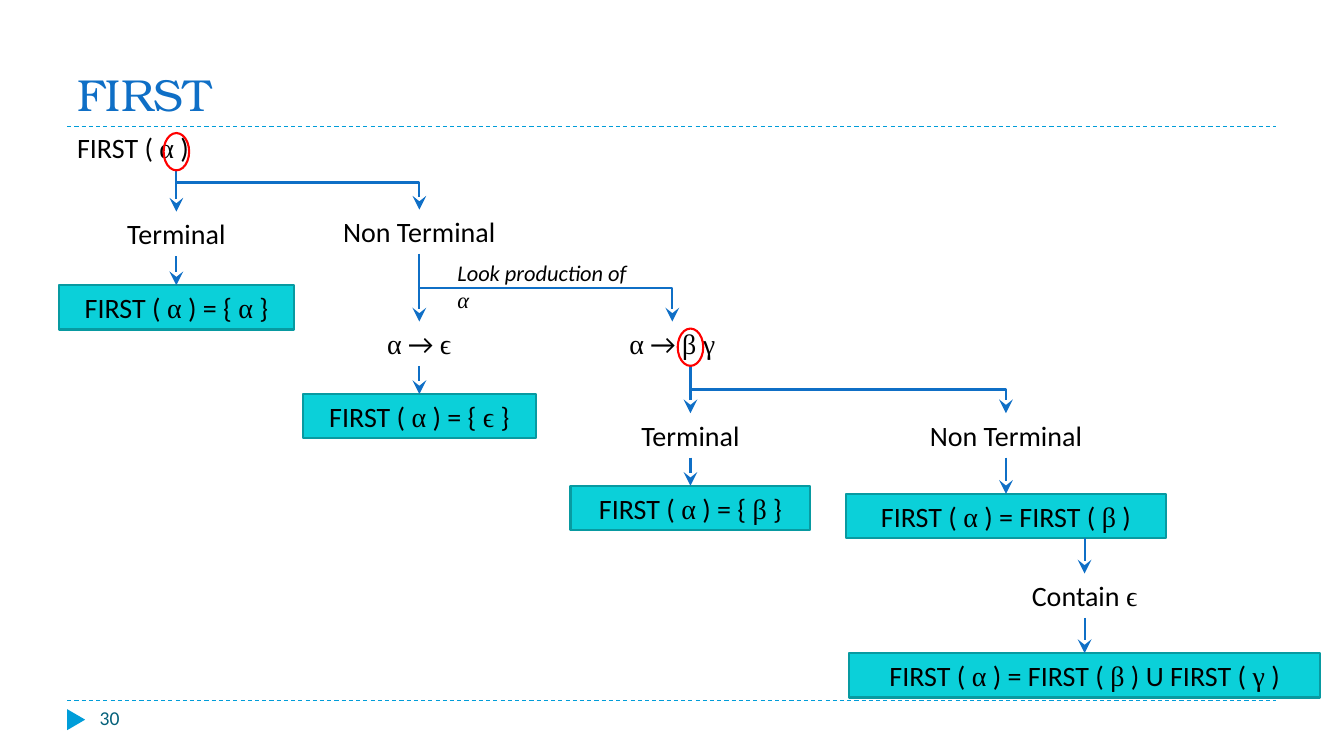
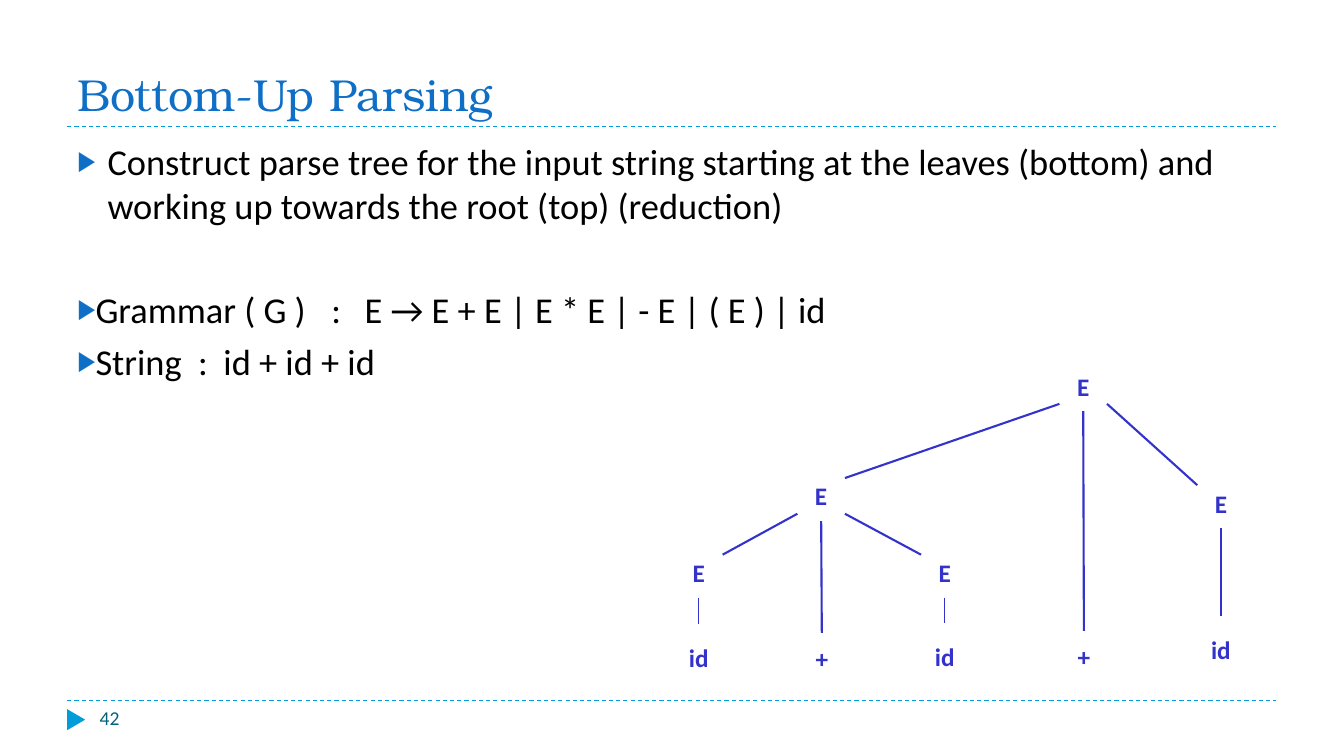
from dataclasses import dataclass
from itertools import groupby

from lxml import etree
from pptx import Presentation
from pptx import util as u
from pptx.dml.color import RGBColor
from pptx.enum import dml, shapes, text
from pptx.oxml.ns import qn

# The slide is a grid of 40 columns by 22.5 rows; all lengths are in cells.
COLUMNS, ROWS = 40, 22.5
CELL = u.Inches(13.333) / COLUMNS
LEFT, RIGHT = 2, 37.98
TITLE_RULE, FOOTER_RULE = 3.76, 20.85
LABEL_HEIGHT = 1.32
DIAGONAL = 0.354  # share of an ellipse's size from its centre to a 45° point

BLUE, SKY, TEAL = "0F6FC6", "009DD9", "04617B"
CYAN, CYAN_EDGE = "0BD0D9", "089AA1"
RED, INDIGO, BLACK = "FF0000", "3333CC", "000000"
BODY_FONT, TITLE_FONT, GREEK_FONT = "Calibri", "TeX Gyre Bonum", "Times New Roman"


@dataclass
class Step:
    """A label or filled box of the flow, placed by its centre line and top."""
    x: float
    top: float
    width: float
    words: str
    boxed: bool = False

    @property
    def bottom(self) -> float:
        return self.top + LABEL_HEIGHT


@dataclass
class Flow:
    parent: str
    child: str
    start_x: float
    bend: float = 0.5


@dataclass
class Node:
    """An ellipse of the parse tree, placed by its centre."""
    x: float
    y: float
    words: str
    width: float = 2
    height: float = 1.5


@dataclass
class Bullet:
    words: str
    indent: float = 0
    before: float = 0
    tabs: tuple[float, ...] = ()


FIRST_X, NON_TERMINAL_X, BETA_X, BETA_RULE_X, LAST_X = 5.25, 12.48, 20.55, 29.94, 32.28
STEPS = {
    "start": Step(3.96, 3.75, 4.32, "FIRST ( α )"),
    "terminal": Step(FIRST_X, 6.3, 4.2, "Terminal"),
    "non terminal": Step(NON_TERMINAL_X, 6.24, 5.7, "Non Terminal"),
    "alpha set": Step(FIRST_X, 8.49, 7, "FIRST ( α ) = { α }", True),
    "empty": Step(NON_TERMINAL_X, 9.57, 2.7, "α → ϵ"),
    "empty set": Step(NON_TERMINAL_X, 11.73, 6.93, "FIRST ( α ) = { ϵ }", True),
    "production": Step(20.01, 9.57, 3.36, "α → β γ"),
    "beta terminal": Step(BETA_X, 12.3, 4.2, "Terminal"),
    "beta set": Step(BETA_X, 14.46, 7.14, "FIRST ( α ) = { β }", True),
    "beta non terminal": Step(BETA_RULE_X, 12.3, 5.7, "Non Terminal"),
    "beta first": Step(BETA_RULE_X, 14.7, 9.51, "FIRST ( α ) = FIRST ( β )", True),
    "contain": Step(LAST_X, 17.07, 4.2, "Contain ϵ"),
    "union": Step(LAST_X, 19.44, 14.01,
                  "FIRST ( α ) = FIRST ( β ) U FIRST ( γ )", True),
}
FLOWS = [
    Flow("start", "terminal", FIRST_X),
    Flow("start", "non terminal", FIRST_X, 0.31),
    Flow("terminal", "alpha set", FIRST_X),
    Flow("non terminal", "empty", NON_TERMINAL_X),
    Flow("non terminal", "production", NON_TERMINAL_X),
    Flow("empty", "empty set", NON_TERMINAL_X),
    Flow("production", "beta terminal", BETA_X),
    Flow("production", "beta non terminal", BETA_X),
    Flow("beta terminal", "beta set", BETA_X),
    Flow("beta non terminal", "beta first", BETA_RULE_X),
    Flow("beta first", "contain", LAST_X),
    Flow("contain", "union", LAST_X),
]
RINGS = {"start": FIRST_X, "production": BETA_X}

NODES = {
    "root": Node(32.24, 11.49, "E"),
    "sum": Node(24.44, 14.76, "E"),
    "right": Node(36.34, 14.97, "E"),
    "root plus": Node(32.26, 19.53, "+"),
    "right id": Node(36.34, 19.34, "id", 2.82, 2.01),
    "first": Node(20.8, 17.04, "E"),
    "second": Node(28.12, 17.04, "E"),
    "first id": Node(20.8, 19.57, "id", 2.82, 2.01),
    "second id": Node(28.12, 19.55, "id", 2.82, 2.01),
    "sum plus": Node(24.46, 19.59, "+"),
}
BRANCHES = [
    ("root", "sum", 1.5), ("root", "root plus", 1.5), ("root", "right", 1.5),
    ("sum", "first", 1.5), ("sum", "sum plus", 1.5), ("sum", "second", 1.5),
    ("right", "right id", 1.5), ("first", "first id", 0.75),
    ("second", "second id", 0.75),
]
BULLETS = [
    Bullet("Construct parse tree for the input string starting at the leaves "
           "(bottom) and working up towards the root (top) (reduction)", 0.3),
    Bullet("Grammar ( G )\t:\tE → E + E | E * E | - E | ( E ) | id",
           before=43.5, tabs=(2.52, 2.85)),
    Bullet("String\t:\tid + id + id", before=6, tabs=(1.2, 1.45)),
]


def cells(*values: float) -> list[int]:
    return [u.Emu(round(value * CELL)) for value in values]


def color(code: str) -> RGBColor:
    return RGBColor.from_string(code)


def place(shape, left: float, top: float, width: float, height: float) -> None:
    shape.left, shape.top, shape.width, shape.height = cells(left, top, width, height)


def style(font, size: float, code: str, name: str = BODY_FONT) -> None:
    font.size, font.name = u.Pt(size), name
    font.color.rgb = color(code)


def write(shape, words: str, size: float, code: str, align=text.PP_ALIGN.LEFT,
          wrap: bool = False, bold: bool = False, italic: bool = False) -> None:
    """Set one paragraph, with Greek letters in their own font."""
    shape.text_frame.word_wrap = wrap
    para = shape.text_frame.paragraphs[0]
    para.alignment = align
    for greek, letters in groupby(words, lambda letter: "Ͱ" <= letter <= "Ͽ"):
        span = para.add_run()
        span.text = "".join(letters)
        style(span.font, size, code, GREEK_FONT if greek else BODY_FONT)
        span.font.bold, span.font.italic = bold, italic


def add_label(slide, left: float, top: float, width: float, height: float):
    box = slide.shapes.add_textbox(*cells(left, top, width, height))
    box.text_frame.auto_size = text.MSO_AUTO_SIZE.SHAPE_TO_FIT_TEXT
    return box


def add_figure(slide, kind, left: float, top: float, width: float, height: float,
               fill: str = "", edge: str = ""):
    figure = slide.shapes.add_shape(kind, *cells(left, top, width, height))
    figure.shadow.inherit = False
    if fill:
        figure.fill.solid()
        figure.fill.fore_color.rgb = color(fill)
    else:
        figure.fill.background()
    if edge:
        figure.line.color.rgb = color(edge)
        figure.line.width = u.Pt(1.5)
    else:
        figure.line.fill.background()
    figure.text_frame.vertical_anchor = text.MSO_ANCHOR.MIDDLE
    return figure


def add_line(slide, x: float, y: float, end_x: float, end_y: float, code: str,
             weight: float, kind=shapes.MSO_CONNECTOR.STRAIGHT):
    line = slide.shapes.add_connector(kind, *cells(x, y, end_x, end_y))
    line.line.color.rgb = color(code)
    line.line.width = u.Pt(weight)
    etree.SubElement(line._element.spPr, qn("a:effectLst"))
    return line


def add_arrow(slide, x: float, y: float, end_x: float, end_y: float,
              bend: float) -> None:
    """Draw a downward arrow, with an elbow when it changes column."""
    if x == end_x:
        arrow = add_line(slide, x, y, end_x, end_y, BLUE, 1.5)
    else:
        # A quarter turn of a mirrored elbow makes it leave downwards.
        middle_x, middle_y = (x + end_x) / 2, (y + end_y) / 2
        half_drop, half_run = (end_y - y) / 2, (end_x - x) / 2
        arrow = add_line(slide, middle_x - half_drop, middle_y - half_run,
                         middle_x + half_drop, middle_y + half_run, BLUE, 1.5,
                         shapes.MSO_CONNECTOR.ELBOW)
        frame = arrow._element.spPr.find(qn("a:xfrm"))
        frame.set("rot", "16200000")
        frame.set("flipH", "1")
        geometry = arrow._element.spPr.find(qn("a:prstGeom"))
        guides = geometry.find(qn("a:avLst"))
        if guides is None:
            guides = etree.SubElement(geometry, qn("a:avLst"))
        etree.SubElement(guides, qn("a:gd"), name="adj1",
                         fmla=f"val {round(bend * 100000)}")
    outline = arrow._element.spPr.find(qn("a:ln"))
    etree.SubElement(outline, qn("a:tailEnd"), type="stealth", w="lg", len="lg")


def add_page(deck, layout: int, title: str, number: int):
    """Add a slide with the shared title, rules and footer."""
    slide = deck.slides.add_slide(deck.slide_layouts[layout])
    for y in (FOOTER_RULE, TITLE_RULE):
        rule = add_line(slide, LEFT, y, RIGHT, y, SKY, 0.75)
        rule.line.dash_style = dml.MSO_LINE.DASH
    marker = add_figure(slide, shapes.MSO_SHAPE.ISOSCELES_TRIANGLE,
                        1.95, 21.15, 0.63, 0.54, SKY)
    marker.rotation = 90
    heading = slide.shapes.title
    place(heading, LEFT, 0.51, 36, 3.24)
    frame = heading.text_frame
    frame.text = title
    frame.vertical_anchor = text.MSO_ANCHOR.BOTTOM
    frame.auto_size = text.MSO_AUTO_SIZE.NONE
    frame.paragraphs[0].alignment = text.PP_ALIGN.LEFT
    style(frame.paragraphs[0].runs[0].font, 32, BLUE, TITLE_FONT)
    page_number = slide.shapes.add_textbox(*cells(2.67, FOOTER_RULE, 8.67, 1.2))
    write(page_number, str(number), 14, TEAL, wrap=True)
    return slide


def add_step(slide, step: Step) -> None:
    area = (step.x - step.width / 2, step.top, step.width, LABEL_HEIGHT)
    if step.boxed:
        box = add_figure(slide, shapes.MSO_SHAPE.RECTANGLE, *area, CYAN, CYAN_EDGE)
    else:
        box = add_label(slide, *area)
    write(box, step.words, 20, BLACK, text.PP_ALIGN.CENTER)


def add_bullets(body, bullets: list[Bullet]) -> None:
    frame = body.text_frame
    frame.auto_size = text.MSO_AUTO_SIZE.NONE
    for index, bullet in enumerate(bullets):
        para = frame.add_paragraph() if index else frame.paragraphs[0]
        para.text = bullet.words
        props = para._p.get_or_add_pPr()
        props.set("marL", str(u.Inches(bullet.indent)))
        props.set("indent", str(-u.Inches(bullet.indent)))
        bullet_color = etree.SubElement(props, qn("a:buClr"))
        etree.SubElement(bullet_color, qn("a:srgbClr"), val=BLUE)
        etree.SubElement(props, qn("a:buSzPct"), val="76000")
        etree.SubElement(props, qn("a:buChar"), char="▶")
        if bullet.tabs:
            stops = etree.SubElement(props, qn("a:tabLst"))
            for stop in bullet.tabs:
                etree.SubElement(stops, qn("a:tab"), pos=str(u.Inches(stop)), algn="l")
        para.space_before = u.Pt(bullet.before)
        for span in para.runs:
            style(span.font, 26, BLACK)


def add_branch(slide, parent: Node, child: Node, weight: float) -> None:
    gap = child.x - parent.x
    side = 0 if abs(gap) < 1 else (1 if gap > 0 else -1)
    reach = DIAGONAL if side else 0.5
    add_line(slide,
             parent.x + side * DIAGONAL * parent.width, parent.y + reach * parent.height,
             child.x - side * DIAGONAL * child.width, child.y - reach * child.height,
             INDIGO, weight)


def build_first(deck) -> None:
    slide = add_page(deck, 5, "FIRST", 30)
    for step in STEPS.values():
        add_step(slide, step)
    for flow in FLOWS:
        child = STEPS[flow.child]
        add_arrow(slide, flow.start_x, STEPS[flow.parent].bottom,
                  child.x, child.top, flow.bend)
    for name, x in RINGS.items():
        add_figure(slide, shapes.MSO_SHAPE.OVAL, x - 0.38, STEPS[name].bottom - 1.11,
                   0.76, 1.11, edge=RED)
    hint = add_label(slide, 13.32, 7.56, 5.85, 1.11)
    write(hint, "Look production of α", 16, BLACK, wrap=True, italic=True)


def build_bottom_up(deck) -> None:
    slide = add_page(deck, 1, "Bottom-Up Parsing", 42)
    body = slide.placeholders[1]
    place(body, LEFT, 3.99, 36, 16.2)
    add_bullets(body, BULLETS)
    for node in NODES.values():
        oval = add_figure(slide, shapes.MSO_SHAPE.OVAL, node.x - node.width / 2,
                          node.y - node.height / 2, node.width, node.height)
        write(oval, node.words, 18, INDIGO, text.PP_ALIGN.CENTER, bold=True)
    for parent, child, weight in BRANCHES:
        add_branch(slide, NODES[parent], NODES[child], weight)


def main() -> None:
    deck = Presentation()
    deck.slide_width, deck.slide_height = cells(COLUMNS, ROWS)
    build_first(deck)
    build_bottom_up(deck)
    deck.save("out.pptx")


if __name__ == "__main__":
    main()
